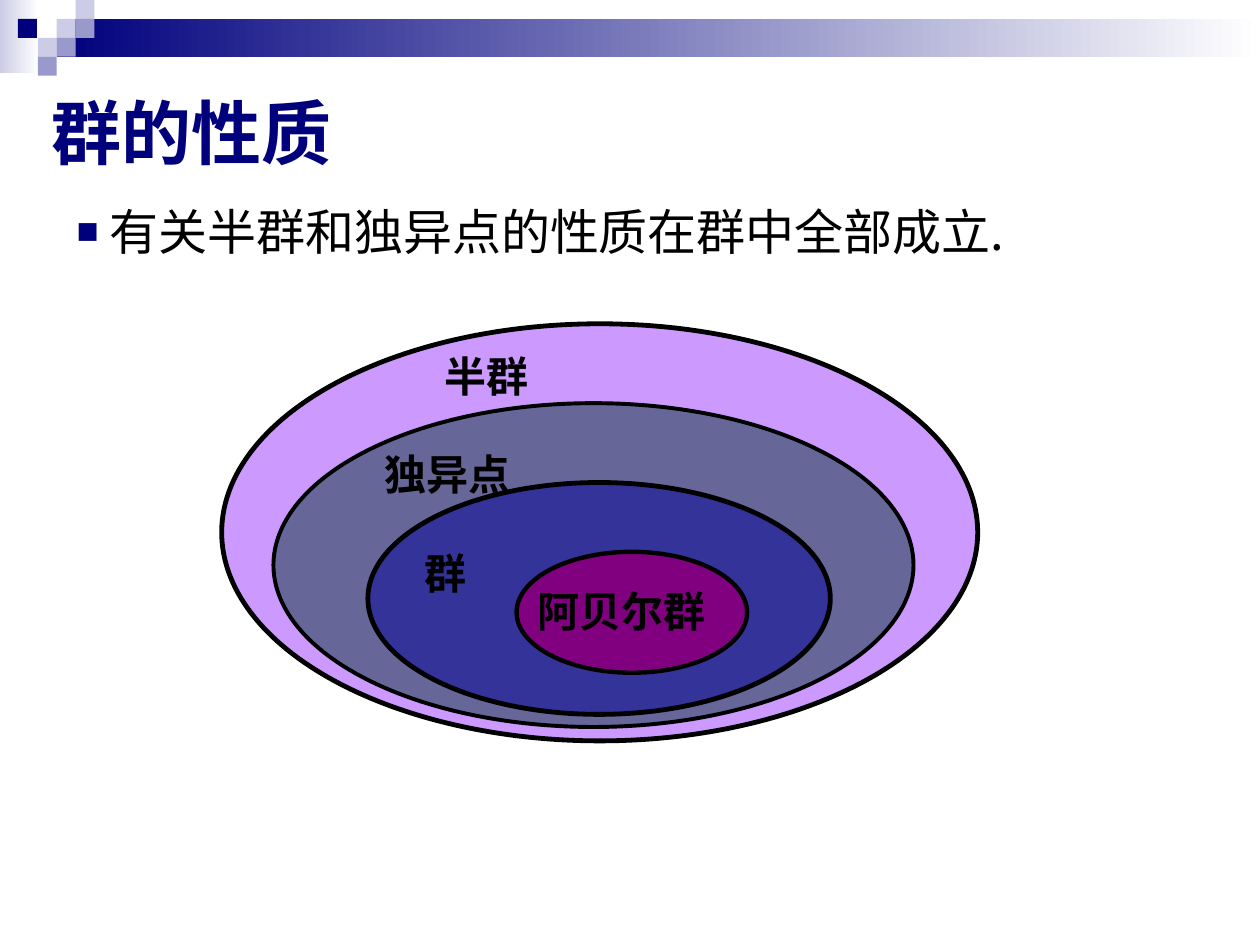
"""Build a slide on group properties with nested sets of algebraic structures."""
from dataclasses import dataclass

from lxml import etree
from pptx import Presentation
from pptx.dml.color import RGBColor
from pptx.enum.shapes import MSO_SHAPE
from pptx.enum.text import MSO_ANCHOR, PP_ALIGN
from pptx.oxml.ns import qn
from pptx.util import Inches, Pt

RECTANGLE, OVAL = MSO_SHAPE.RECTANGLE, MSO_SHAPE.OVAL
MIDDLE, TOP = MSO_ANCHOR.MIDDLE, MSO_ANCHOR.TOP
LEFT = PP_ALIGN.LEFT


@dataclass(frozen=True)
class Theme:
    navy: str = "00007D"
    lavender: str = "9999CC"
    pale: str = "CCCCE6"
    white: str = "FFFFFF"
    black: str = "000000"
    semigroup: str = "CC99FF"
    monoid: str = "666699"
    group: str = "333399"
    abelian: str = "800080"
    title_size: int = 40
    body_size: int = 28
    label_size: int = 24
    title_font: str = "Arial"
    label_font: str = "Times New Roman"
    chinese_font: str = "Noto Sans CJK SC"


theme = Theme()
presentation = Presentation()
presentation.slide_width, presentation.slide_height = Inches(10), Inches(7.5)
slide = presentation.slides.add_slide(presentation.slide_layouts[5])
cell = presentation.slide_width / 100


def on_grid(*lengths):
    return [round(length * cell) for length in lengths]


def write(shape, text, size, font, color=theme.black, bold=False, anchor=TOP):
    frame = shape.text_frame
    frame.word_wrap = True
    frame.vertical_anchor = anchor
    paragraph = frame.paragraphs[0]
    paragraph.alignment = LEFT
    run = paragraph.add_run()
    run.text = text
    run.font.size, run.font.name, run.font.bold = Pt(size), font, bold
    run.font.color.rgb = RGBColor.from_string(color)
    properties = run.font._element
    east_asian = etree.Element(qn("a:ea"), typeface=theme.chinese_font)
    properties.find(qn("a:latin")).addnext(east_asian)
    return paragraph


header = slide.shapes.add_group_shape()
for bounds, start_color in [((0, 0, 3.1, 5.8), theme.pale), ((4.5, 1.5, 95.5, 3), theme.navy)]:
    band = header.shapes.add_shape(RECTANGLE, *on_grid(*bounds))
    band.shadow.inherit = False
    band.line.fill.background()
    band.fill.gradient()
    band.fill.gradient_angle = 0
    for stop, color, position in zip(band.fill.gradient_stops, (start_color, theme.white), (0, 1)):
        stop.color.rgb = RGBColor.from_string(color)
        stop.position = position

tile = 1.5
for column, row, color in [
    (3, 1, theme.pale),
    (4, 0, theme.pale),
    (4, 1, theme.lavender),
    (2, 2, theme.pale),
    (0.95, 1, theme.navy),
    (3, 2, theme.lavender),
    (2, 3, theme.lavender),
]:
    square = header.shapes.add_shape(RECTANGLE, *on_grid(column * tile, row * tile, tile, tile))
    square.shadow.inherit = False
    square.line.fill.background()
    square.fill.solid()
    square.fill.fore_color.rgb = RGBColor.from_string(color)

title = slide.shapes.title
title.left, title.top, title.width, title.height = on_grid(3.1, 4.8, 90, 11.2)
write(title, "群的性质", theme.title_size, theme.title_font, theme.navy, bold=True, anchor=MIDDLE)

statement = slide.shapes.add_textbox(*on_grid(5.1, 15.5, 88.3, 5.7))
paragraph = write(statement, " 有关半群和独异点的性质在群中全部成立.", theme.body_size, theme.chinese_font)
paragraph_properties = paragraph._p.get_or_add_pPr()
bullet_color = etree.SubElement(paragraph_properties, qn("a:buClr"))
etree.SubElement(bullet_color, qn("a:srgbClr"), val=theme.navy)
etree.SubElement(paragraph_properties, qn("a:buSzPct"), val="75000")
etree.SubElement(paragraph_properties, qn("a:buFont"), typeface=theme.title_font)
etree.SubElement(paragraph_properties, qn("a:buChar"), char="■")

diagram = slide.shapes.add_group_shape()
for bounds, color, line_width in [
    ((17.6, 25.7, 60, 33.1), theme.semigroup, 2.75),
    ((21.7, 32, 50.8, 25.7), theme.monoid, 2.25),
    ((29.2, 38.3, 36.7, 18.4), theme.group, 2.75),
    ((41, 43.8, 18.3, 9.6), theme.abelian, 2.5),
]:
    ellipse = diagram.shapes.add_shape(OVAL, *on_grid(*bounds))
    ellipse.shadow.inherit = False
    ellipse.fill.solid()
    ellipse.fill.fore_color.rgb = RGBColor.from_string(color)
    ellipse.line.color.rgb = RGBColor.from_string(theme.black)
    ellipse.line.width = Pt(line_width)

for text, left, top, width in [
    ("阿贝尔群", 41.7, 46, 22.5),
    ("半群", 34.3, 27.3, 10.8),
    ("独异点", 29.5, 35.1, 12.5),
    ("群", 32.7, 43, 8.3),
]:
    label = diagram.shapes.add_textbox(*on_grid(left, top, width, 5))
    write(label, text, theme.label_size, theme.label_font, bold=True)

presentation.save("out.pptx")
